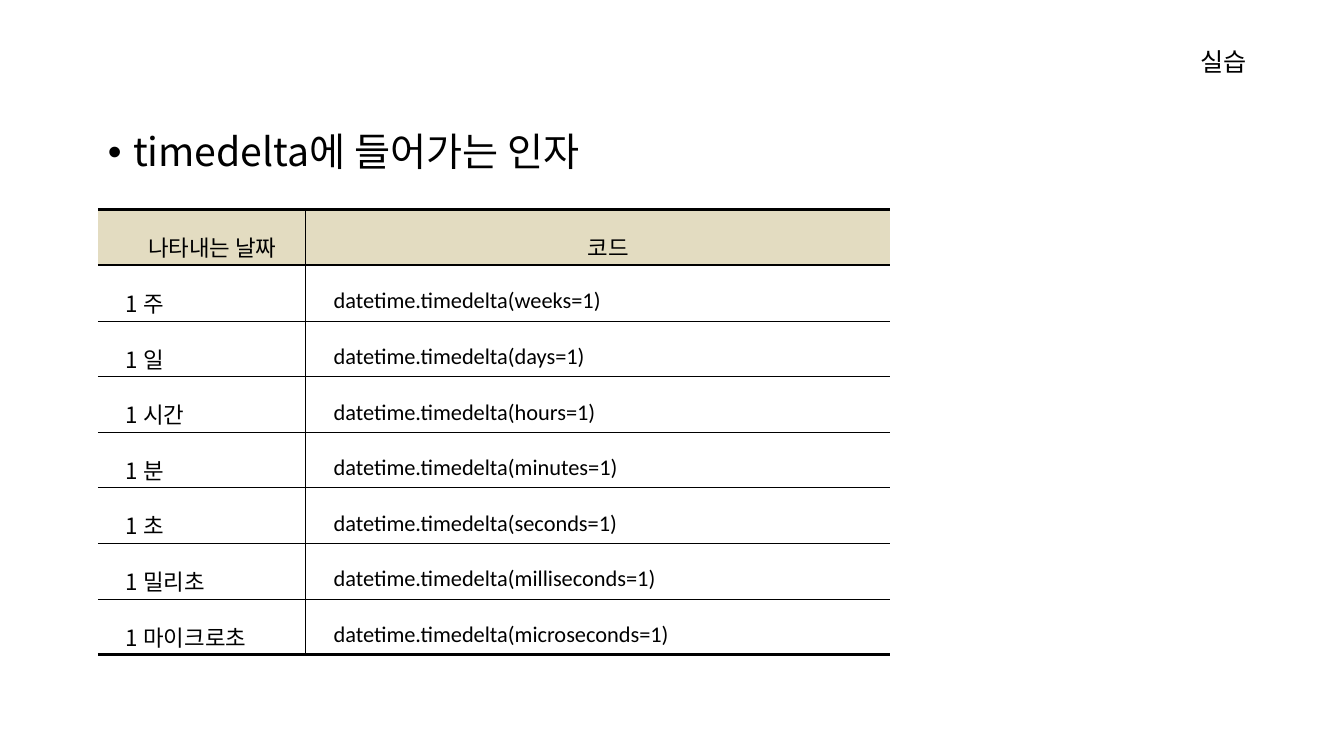
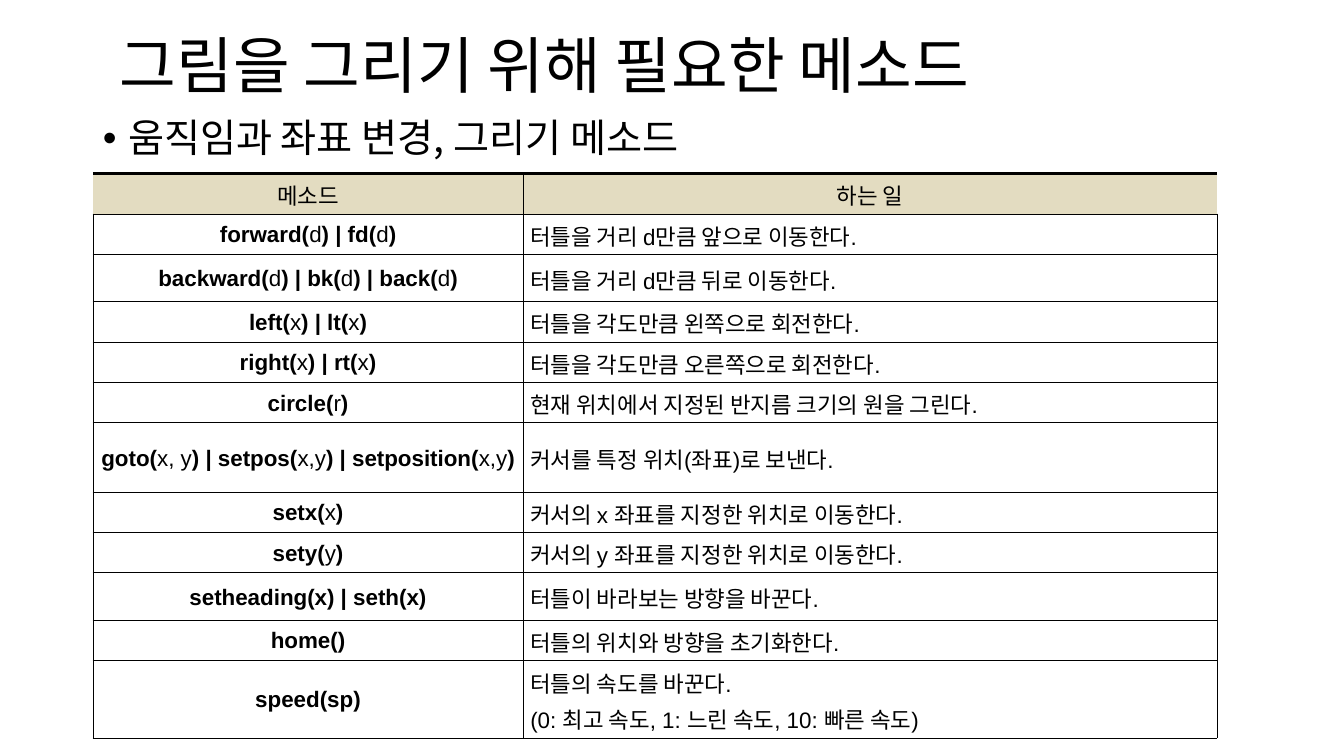
from dataclasses import dataclass

import pptx
import pptx.dml.color
import pptx.enum.text
import pptx.oxml
import pptx.oxml.ns
import pptx.presentation
import pptx.shapes.base
import pptx.slide
import pptx.table
import pptx.text.text
import pptx.util
from pptx.util import Inches

KOREAN_FONT = "Noto Sans CJK KR"
BLACK = "000000"
HEADER_FILL = "E3DCC1"
THIN, HEAVY = 0.28, 1.98
TITLE_SIZE, BODY_SIZE, LABEL_SIZE, TABLE_SIZE = 44, 28, 18, 16
BODY_WIDTH, BODY_HEIGHT = 11.5, 4.76
TITLE_AND_CONTENT = 1
ALIGN = pptx.enum.text.PP_ALIGN


@dataclass(frozen=True)
class TableDesign:
    left: float
    top: float
    column_widths: tuple[float, ...]
    row_heights: tuple[float, ...]
    column_fonts: tuple[str, ...]
    column_alignments: tuple[ALIGN, ...]
    line_spacing: float
    indent: float
    heavy_lines: tuple[int, ...]  # horizontal lines, counted from the top edge
    framed: bool  # whether body rows have outer side borders


TIME_UNITS = (
    ("주", "weeks"),
    ("일", "days"),
    ("시간", "hours"),
    ("분", "minutes"),
    ("초", "seconds"),
    ("밀리초", "milliseconds"),
    ("마이크로초", "microseconds"),
)
TIMEDELTA_ROWS = [("나타내는 날짜", "코드")] + [
    (f"1 {unit}", f"datetime.timedelta({argument}=1)") for unit, argument in TIME_UNITS
]
TIMEDELTA_DESIGN = TableDesign(
    left=0.97,
    top=2.08,
    column_widths=(2.06, 5.8),
    row_heights=(0.55,) * len(TIMEDELTA_ROWS),
    column_fonts=(KOREAN_FONT, "Calibri"),
    column_alignments=(ALIGN.JUSTIFY, ALIGN.JUSTIFY),
    line_spacing=1.6,
    indent=0.21,
    heavy_lines=(0, 1, len(TIMEDELTA_ROWS)),
    framed=False,
)

# In the first column, method arguments between asterisks are not bold.
METHOD_ROWS = [
    ("메소드", "하는 일"),
    ("forward(*d*) | fd(*d*)", "터틀을 거리 d만큼 앞으로 이동한다."),
    ("backward(*d*) | bk(*d*) | back(*d*)", "터틀을 거리 d만큼 뒤로 이동한다."),
    ("left(*x*) | lt(*x*)", "터틀을 각도만큼 왼쪽으로 회전한다."),
    ("right(*x*) | rt(*x*)", "터틀을 각도만큼 오른쪽으로 회전한다."),
    ("circle(*r*)", "현재 위치에서 지정된 반지름 크기의 원을 그린다."),
    ("goto(*x, y*) | setpos(*x,y*) | setposition(*x,y*)", "커서를 특정 위치(좌표)로 보낸다."),
    ("setx(*x*)", "커서의 x 좌표를 지정한 위치로 이동한다."),
    ("sety(*y*)", "커서의 y 좌표를 지정한 위치로 이동한다."),
    ("setheading(x) | seth(x)", "터틀이 바라보는 방향을 바꾼다."),
    ("home()", "터틀의 위치와 방향을 초기화한다."),
    ("speed(sp)", "터틀의 속도를 바꾼다.\n(0: 최고 속도, 1: 느린 속도, 10: 빠른 속도)"),
]
METHOD_DESIGN = TableDesign(
    left=0.92,
    top=1.72,
    column_widths=(4.27, 6.88),
    row_heights=(0.4, 0.4, 0.47, 0.4, 0.4, 0.4, 0.69, 0.4, 0.4, 0.47, 0.4, 0.77),
    column_fonts=("Arial", "Arial"),
    column_alignments=(ALIGN.CENTER, ALIGN.JUSTIFY),
    line_spacing=1.1,
    indent=0,
    heavy_lines=(0,),
    framed=True,
)


def color(value: str) -> pptx.dml.color.RGBColor:
    return pptx.dml.color.RGBColor.from_string(value)


def format_paragraph(
    paragraph: pptx.text.text._Paragraph,
    size: float,
    font_name: str = KOREAN_FONT,
    alignment: ALIGN = ALIGN.LEFT,
    line_spacing: float = 1.0,
    indent: float = 0,
    hanging: float = 0,
) -> None:
    paragraph.alignment = alignment
    paragraph.line_spacing = line_spacing
    font = paragraph.font
    font.size = pptx.util.Pt(size)
    font.color.rgb = color(BLACK)
    font.name = font_name
    properties = paragraph._p.get_or_add_pPr()
    properties.set("marL", str(Inches(indent)))
    properties.set("indent", str(Inches(-hanging)))
    latin = properties.find(".//" + pptx.oxml.ns.qn("a:latin"))
    namespace = pptx.oxml.ns.nsdecls("a")
    latin.addnext(pptx.oxml.parse_xml(f'<a:ea {namespace} typeface="{KOREAN_FONT}"/>'))


def place(
    shape: pptx.shapes.base.BaseShape, left: float, top: float, width: float, height: float
) -> None:
    shape.left, shape.top = Inches(left), Inches(top)
    shape.width, shape.height = Inches(width), Inches(height)


def write_title(slide: pptx.slide.Slide, text: str) -> None:
    title = slide.shapes.title
    place(title, 1.09, -0.04, BODY_WIDTH, 1.45)
    title.text_frame.vertical_anchor = pptx.enum.text.MSO_ANCHOR.MIDDLE
    title.text_frame.text = text
    format_paragraph(title.text_frame.paragraphs[0], TITLE_SIZE, line_spacing=0.9)


def write_bullet(slide: pptx.slide.Slide, text: str, left: float, top: float) -> None:
    body = slide.placeholders[1]
    place(body, left, top, BODY_WIDTH, BODY_HEIGHT)
    body.text_frame.text = text
    paragraph = body.text_frame.paragraphs[0]
    format_paragraph(paragraph, BODY_SIZE, line_spacing=0.9, indent=0.25, hanging=0.25)
    paragraph.space_before = pptx.util.Pt(10)


def add_corner_label(slide: pptx.slide.Slide, text: str) -> None:
    label = slide.shapes.add_textbox(Inches(11.81), Inches(0.41), Inches(0.71), Inches(0.4))
    frame = label.text_frame
    frame.word_wrap = False
    frame.auto_size = pptx.enum.text.MSO_AUTO_SIZE.SHAPE_TO_FIT_TEXT
    frame.text = text
    format_paragraph(frame.paragraphs[0], LABEL_SIZE)


def set_borders(cell: pptx.table._Cell, **widths: float) -> None:
    """Draw the sides L, R, T and B, in that order; a width of 0 hides a side."""
    properties = cell._tc.get_or_add_tcPr()
    namespace = pptx.oxml.ns.nsdecls("a")
    for side, width in widths.items():
        paint = (
            f'<a:solidFill><a:srgbClr val="{BLACK}"/></a:solidFill>' if width else "<a:noFill/>"
        )
        properties.append(
            pptx.oxml.parse_xml(
                f'<a:ln{side} {namespace} w="{pptx.util.Pt(width)}">{paint}</a:ln{side}>'
            )
        )


def write_cell(cell: pptx.table._Cell, text: str, bold_code: bool) -> None:
    """Write text; in bold code, parts between asterisks are regular."""
    if not bold_code:
        cell.text_frame.text = text
        return
    for index, part in enumerate(text.split("*")):
        run = cell.text_frame.paragraphs[0].add_run()
        run.text = part
        run.font.bold = index % 2 == 0


def add_grid(
    slide: pptx.slide.Slide,
    design: TableDesign,
    rows: list[tuple[str, str]],
    bold_code: bool = False,
) -> None:
    table = slide.shapes.add_table(
        len(rows),
        len(design.column_widths),
        Inches(design.left),
        Inches(design.top),
        Inches(sum(design.column_widths)),
        Inches(sum(design.row_heights)),
    ).table
    table.first_row = table.horz_banding = False
    for column, width in zip(table.columns, design.column_widths):
        column.width = Inches(width)
    for row, height in zip(table.rows, design.row_heights):
        row.height = Inches(height)

    line_widths = [HEAVY if line in design.heavy_lines else THIN for line in range(len(rows) + 1)]
    last_column = len(design.column_widths) - 1
    for row_index, texts in enumerate(rows):
        is_header = row_index == 0
        side_width = THIN if design.framed and not is_header else 0
        for column_index, text in enumerate(texts):
            cell = table.cell(row_index, column_index)
            cell.vertical_anchor = pptx.enum.text.MSO_ANCHOR.MIDDLE
            cell.margin_left = cell.margin_right = Inches(0.07)
            cell.margin_top = cell.margin_bottom = Inches(0.02)
            set_borders(
                cell,
                L=side_width if column_index == 0 else THIN,
                R=side_width if column_index == last_column else THIN,
                T=line_widths[row_index],
                B=line_widths[row_index + 1],
            )
            if is_header:
                cell.fill.solid()
                cell.fill.fore_color.rgb = color(HEADER_FILL)
            else:
                cell.fill.background()
            write_cell(cell, text, bold_code and column_index == 0 and not is_header)
            for paragraph in cell.text_frame.paragraphs:
                format_paragraph(
                    paragraph,
                    TABLE_SIZE,
                    design.column_fonts[0 if is_header else column_index],
                    ALIGN.CENTER if is_header else design.column_alignments[column_index],
                    design.line_spacing,
                    design.indent,
                )


def add_content_slide(presentation: pptx.presentation.Presentation) -> pptx.slide.Slide:
    return presentation.slides.add_slide(presentation.slide_layouts[TITLE_AND_CONTENT])


def build_timedelta_slide(presentation: pptx.presentation.Presentation) -> None:
    slide = add_content_slide(presentation)
    title = slide.shapes.title.element
    title.getparent().remove(title)
    write_bullet(slide, "timedelta에 들어가는 인자", 0.97, 1.27)
    add_grid(slide, TIMEDELTA_DESIGN, TIMEDELTA_ROWS)
    add_corner_label(slide, "실습")


def build_method_slide(presentation: pptx.presentation.Presentation) -> None:
    slide = add_content_slide(presentation)
    write_title(slide, "그림을 그리기 위해 필요한 메소드")
    write_bullet(slide, "움직임과 좌표 변경, 그리기 메소드", 0.92, 1.13)
    add_grid(slide, METHOD_DESIGN, METHOD_ROWS, bold_code=True)


def main() -> None:
    presentation = pptx.Presentation()
    presentation.slide_width = Inches(13.33)
    presentation.slide_height = Inches(7.5)
    build_timedelta_slide(presentation)
    build_method_slide(presentation)
    presentation.save("out.pptx")


if __name__ == "__main__":
    main()
